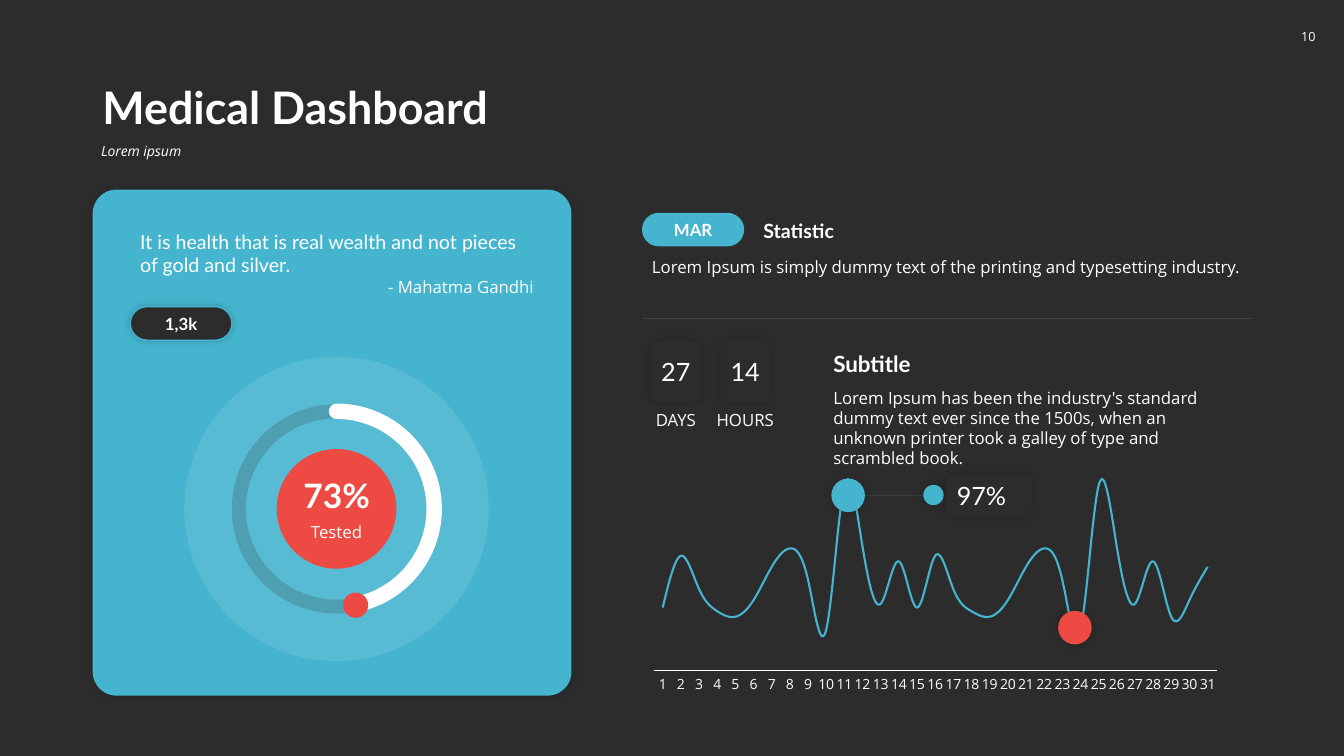
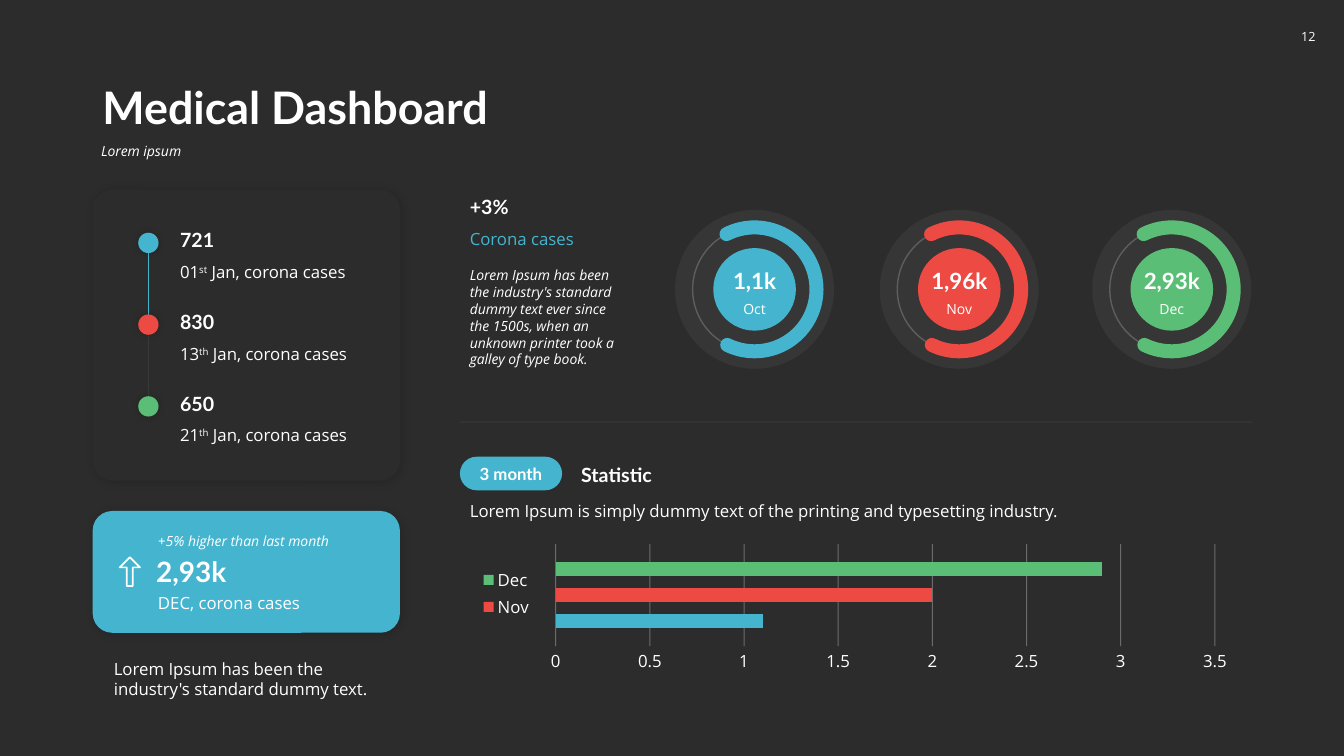
from dataclasses import dataclass, replace
from typing import NamedTuple

from lxml import etree
from pptx import Presentation, util as u
from pptx.chart import data as cd
from pptx.dml.color import RGBColor
from pptx.enum import chart as ec, shapes as es, text as et
from pptx.oxml import ns

DARK = RGBColor(0x2C, 0x2C, 0x2C)
WHITE = RGBColor(0xFF, 0xFF, 0xFF)
BLUE = RGBColor(0x45, 0xB5, 0xCF)
RED = RGBColor(0xED, 0x4A, 0x43)
GREEN = RGBColor(0x5B, 0xBE, 0x77)

HEAD, BODY = "Lato", "Open Sans"
LEFT, MID, RIGHT = et.PP_ALIGN.LEFT, et.PP_ALIGN.CENTER, et.PP_ALIGN.RIGHT
TOP, CORE, LOW = et.MSO_ANCHOR.TOP, et.MSO_ANCHOR.MIDDLE, et.MSO_ANCHOR.BOTTOM
KIND = es.MSO_SHAPE
EDGE = 894  # right edge of the content
MONTHS = (("Oct", "1,1k", 1.1, BLUE), ("Nov", "1,96k", 2.0, RED),
          ("Dec", "2,93k", 2.9, GREEN))


class Box(NamedTuple):
    x: float
    y: float
    w: float
    h: float


class Glow(NamedTuple):
    alpha: int
    blur: float
    dist: float


SOFT, DEEP = Glow(15, 6, 1), Glow(20, 5, 0)


@dataclass(frozen=True)
class Style:
    size: float
    font: str = BODY
    bold: bool = False
    ital: bool = False
    color: RGBColor = WHITE


PLAIN, SMALL, NOTE = Style(12), Style(10), Style(10, ital=True)
LABEL, LEAD = Style(12, HEAD, True), Style(14, HEAD, True)
COUNT = Style(18, HEAD)


def spot(box: Box) -> list:
    return [u.Pt(v) for v in box]


def around(cx: float, cy: float, size: float) -> Box:
    return Box(cx - size / 2, cy - size / 2, size, size)


def child(node, tag: str, **attrs):
    return etree.SubElement(node, ns.qn(tag), {k: str(v) for k, v in attrs.items()})


def fade(fill, alpha: int) -> None:
    """Give a solid fill an opacity in percent."""
    child(fill._xPr.find(".//" + ns.qn("a:srgbClr")), "a:alpha", val=alpha * 1000)


def stroke(line, color: RGBColor, width: float, alpha: int = 100) -> None:
    line.color.rgb = color
    line.width = u.Pt(width)
    if alpha < 100:
        fade(line.fill, alpha)


def dress(para, style: Style, align=LEFT) -> None:
    para.alignment = align
    for run in para.runs:
        font = run.font
        font.name, font.size = style.font, u.Pt(style.size)
        font.bold, font.italic = style.bold, style.ital
        font.color.rgb = style.color


def write(frame, words: str, style: Style, align=LEFT, anchor=TOP) -> None:
    frame.text = words
    frame.word_wrap = True
    frame.vertical_anchor = anchor
    for para in frame.paragraphs:
        dress(para, style, align)


def label(slide, box: Box, words: str, style: Style, align=LEFT, anchor=TOP):
    frame = slide.shapes.add_textbox(*spot(box)).text_frame
    write(frame, words, style, align, anchor)
    return frame


def shape(slide, kind, box: Box, fill=None, glow=None, adj=()):
    item = slide.shapes.add_shape(kind, *spot(box))
    for i, val in enumerate(adj):
        item.adjustments[i] = val
    if fill is None:
        item.fill.background()
    else:
        item.fill.solid()
        item.fill.fore_color.rgb = fill
    item.line.fill.background()
    item.shadow.inherit = False
    if glow:
        cast = child(item._element.spPr.find(ns.qn("a:effectLst")), "a:outerShdw",
                     blurRad=u.Pt(glow.blur), dist=u.Pt(glow.dist), dir=45 * 60000,
                     algn="ctr", rotWithShape=0)
        child(child(cast, "a:srgbClr", val="000000"), "a:alpha", val=glow.alpha * 1000)
    return item


def disc(slide, cx: float, cy: float, size: float, fill=None, glow=None):
    return shape(slide, KIND.OVAL, around(cx, cy, size), fill, glow)


def arc(slide, box: Box, start: float, end: float, color: RGBColor, width: float) -> None:
    """Draw a round-ended arc clockwise between two angles in degrees."""
    item = shape(slide, KIND.ARC, box, adj=(start * 0.6, end * 0.6))
    stroke(item.line, color, width)
    item.line._ln.set("cap", "rnd")


def badge(slide, box: Box, words: str, style: Style, fill=DARK, glow=DEEP,
          adj=(), align=MID, pad: float = 0):
    item = shape(slide, KIND.ROUNDED_RECTANGLE, box, fill, glow, adj)
    frame = item.text_frame
    frame.margin_left = frame.margin_right = u.Pt(pad)
    frame.margin_top = frame.margin_bottom = 0
    write(frame, words, style, align, CORE)
    return item


def rule(slide, x1: float, y1: float, x2: float, y2: float,
         color: RGBColor = WHITE, alpha: int = 10) -> None:
    line = slide.shapes.add_connector(es.MSO_CONNECTOR.STRAIGHT,
                                      *(u.Pt(v) for v in (x1, y1, x2, y2)))
    stroke(line.line, color, 0.5, alpha)
    child(line._element.spPr, "a:effectLst")


def start(deck, page: str):
    """Add a slide with its title, subtitle and page number."""
    slide = deck.slides.add_slide(deck.slide_layouts[1])
    title, sub = slide.placeholders
    title.left, title.top, title.width, title.height = spot(Box(66, 42, 828, 57.5))
    sub.left, sub.top, sub.width, sub.height = spot(Box(65, 99.5, 829, 26))
    write(title.text_frame, "Medical Dashboard", Style(32, HEAD, True), anchor=LOW)
    write(sub.text_frame, "Lorem ipsum", NOTE)
    for item in (title, sub):
        item.text_frame.auto_size = et.MSO_AUTO_SIZE.NONE
        para = item.text_frame.paragraphs[0]
        para.line_spacing, para.space_before = 0.9, u.Pt(0)
    props = para._p.get_or_add_pPr()
    props.set("marL", "0")
    props.set("indent", "0")
    child(props, "a:buNone")
    badge(slide, Box(921.5, 13.4, 26, 25), page, Style(9), glow=None, adj=(0.27,))
    return slide


def section(slide, x: float, y: float, tag: str) -> None:
    """Draw a tag, its heading and one line of text."""
    badge(slide, Box(x, y, 73, 24), tag, LABEL, BLUE, None, (0.5,))
    label(slide, Box(x + 79.5, y, 356, 24.5), "Statistic", LEAD, anchor=LOW)
    label(slide, Box(x, y + 28.2, 436, 21.5), "Lorem Ipsum is simply dummy text of the "
          "printing and typesetting industry.", PLAIN)


def place(node, index: int, **parts) -> None:
    """Set a manual layout, as fractions of the chart, on a chart part."""
    for old in node.findall(ns.qn("c:layout")):
        node.remove(old)
    outer = child(node, "c:layout")
    inner = child(outer, "c:manualLayout")
    if "w" in parts:
        child(inner, "c:layoutTarget", val="inner")
    for key in ("x", "y"):
        child(inner, f"c:{key}Mode", val="edge")
    for key, val in parts.items():
        child(inner, f"c:{key}", val=val)
    node.insert(index, outer)


def graph(slide, kind, box: Box, cats, rows, size: float, **plot):
    """Add a chart from (name, values) rows, with its plot area set."""
    data = cd.CategoryChartData()
    data.categories = cats
    for name, vals in rows:
        data.add_series(name, vals)
    chart = slide.shapes.add_chart(kind, *spot(box), data).chart
    chart.has_title = chart.has_legend = False
    chart.font.name, chart.font.size = BODY, u.Pt(size)
    chart.font.color.rgb = WHITE
    chart.plots[0].vary_by_categories = False
    for axis in (chart.category_axis, chart.value_axis):
        axis.has_major_gridlines = False
        axis.major_tick_mark = axis.minor_tick_mark = ec.XL_TICK_MARK.NONE
    chart.value_axis.minimum_scale = 0
    place(chart._chartSpace.chart.plotArea, 0, **plot)
    return chart


def pulse(slide) -> None:
    vals = (34, 62, 44, 32, 29, 38, 56, 66, 49, 22, 100, 67, 36, 59,
            34, 62, 44, 32, 29, 38, 56, 66, 49, 22, 100, 67, 36, 59, 29, 38, 56)
    chart = graph(slide, ec.XL_CHART_TYPE.LINE_STACKED, Box(458.5, 320.5, 419, 178),
                  [str(d) for d in range(1, 32)], [("Series 1", vals)], 10,
                  x=0.02, y=0, w=0.96, h=0.89)
    chart.value_axis.maximum_scale = 120
    chart.value_axis.visible = False
    stroke(chart.category_axis.format.line, WHITE, 0.75)
    row = chart.plots[0].series[0]
    row.smooth = True
    stroke(row.format.line, BLUE, 1.5)


def bars(slide) -> None:
    chart = graph(slide, ec.XL_CHART_TYPE.BAR_CLUSTERED, Box(336, 385.5, 554, 97.5),
                  ["1"], [(name, [val]) for name, _, val, _ in MONTHS], 12,
                  x=0.11, y=0.03, w=0.85, h=0.75)
    chart.category_axis.visible = False
    axis = chart.value_axis
    axis.maximum_scale, axis.major_unit = 3.5, 0.5
    axis.has_major_gridlines = True
    stroke(axis.major_gridlines.format.line, WHITE, 0.75, 30)
    axis.format.line.fill.background()
    plot = chart.plots[0]
    plot.gap_width, plot.overlap = 250, -80
    for row, (*_, color) in zip(plot.series, MONTHS):
        row.format.fill.solid()
        row.format.fill.fore_color.rgb = color
    chart.has_legend = True
    key = chart.legend
    key.position = ec.XL_LEGEND_POSITION.LEFT
    key.include_in_layout = False
    key.font.size, key.font.name = u.Pt(12), BODY
    key.font.color.rgb = WHITE
    place(key._element, 1, x=0.01, y=0.18)
    entry = child(key._element, "c:legendEntry")
    child(entry, "c:idx", val=2)
    child(entry, "c:delete", val=1)
    key._element.insert(1, entry)


def gauge(slide, cx: float, name: str, value: str, color: RGBColor) -> None:
    cy, size = 206.7, 88.5
    fade(disc(slide, cx, cy, 113.5, WHITE).fill, 5)
    stroke(disc(slide, cx, cy, size).line, WHITE, 1, 20)
    arc(slide, around(cx, cy, size), 243.08, 116.19, color, 10)
    disc(slide, cx, cy, 59, color)
    label(slide, Box(cx - 29.5, 187.2, 59, 26.5), value, Style(16, HEAD, True), MID, LOW)
    label(slide, Box(cx - 29.5, 211, 59, 19.5), name, SMALL, MID)


def event(slide, y: float, count: str, day: str, end: str, color: RGBColor) -> None:
    disc(slide, 106, y + 14.5, 14.5, color, DEEP)
    label(slide, Box(121.5, y, 148.5, 24.5), count, LEAD, anchor=LOW)
    para = label(slide, Box(121.5, y + 24.4, 148.5, 21.5), day, PLAIN).paragraphs[0]
    for words in (end, " Jan, corona cases"):
        para.add_run().text = words
    dress(para, PLAIN)
    para.runs[1]._r.get_or_add_rPr().set("baseline", "30000")


def first(deck) -> None:
    slide = start(deck, "10")
    shape(slide, KIND.ROUNDED_RECTANGLE, Box(66.2, 135.4, 342, 361.5), BLUE, SOFT, (0.05,))
    quote = label(slide, Box(93, 160.5, 295.5, 55.5), "It is health that is real wealth and "
                  "not pieces of gold and silver.\n- Mahatma Gandhi", Style(14, HEAD))
    dress(quote.paragraphs[1], PLAIN, RIGHT)
    pill = badge(slide, Box(93, 219, 72.7, 24), "1,3k", LABEL, adj=(0.5,))
    stroke(pill.line, BLUE, 1)

    cx, cy, size = 240.4, 363.5, 139.5
    fade(disc(slide, cx, cy, 217.4, WHITE).fill, 10)
    disc(slide, cx, cy, 85.5, RED)
    stroke(disc(slide, cx, cy, size).line, DARK, 10, 20)
    arc(slide, around(cx, cy, size), 270, 74.93, WHITE, 11)
    disc(slide, 254, 432.3, 18, RED)
    label(slide, Box(197.4, 335.5, 86, 36), "73%", Style(24, HEAD, True), MID, LOW)
    label(slide, Box(197.4, 369.2, 86, 21.5), "Tested", PLAIN, MID)

    section(slide, 458.6, 152, "MAR")
    rule(slide, 458.6, 227.5, EDGE, 227.5)
    pulse(slide)
    for mid, num, unit in ((482.75, "27", "DAYS"), (532.3, "14", "HOURS")):
        badge(slide, Box(mid - 17.75, 243.4, 35.5, 44), num, COUNT)
        frame = label(slide, Box(mid - 24, 289.2, 48, 21.5), unit, PLAIN, MID)
        frame.margin_left = frame.margin_right = 0
    label(slide, Box(588.2, 246.4, 307, 26.5), "Subtitle", Style(16, HEAD, True), anchor=LOW)
    label(slide, Box(588.2, 273.2, 307, 51), "Lorem Ipsum has been the industry's standard "
          "dummy text ever since the 1500s, when an unknown printer took a galley of "
          "type and scrambled book.", PLAIN)
    disc(slide, 605.8, 353.8, 24, BLUE, DEEP)
    disc(slide, 767.8, 448.3, 24, RED, DEEP)
    rule(slide, 618, 353.8, 661.5, 353.8)
    disc(slide, 666.8, 353.6, 14.5, BLUE, DEEP)
    badge(slide, Box(676, 339, 61, 29.5), "97%", COUNT, align=LEFT, pad=6)


def second(deck) -> None:
    slide = start(deck, "12")
    shape(slide, KIND.ROUNDED_RECTANGLE, Box(66.2, 365, 219.5, 87), BLUE, SOFT, (0.16,))
    shape(slide, KIND.ROUNDED_RECTANGLE, Box(66.2, 135.4, 219.5, 208), DARK, SOFT, (0.07,))
    top, step = 159, 58.4
    for i, (color, alpha) in enumerate(((BLUE, 100), (WHITE, 10))):
        y = top + step * i
        rule(slide, 106, y + 22, 106, y + 66.5, color, alpha)
    for i, row in enumerate((("721", "01", "st", BLUE), ("830", "13", "th", RED),
                             ("650", "21", "th", GREEN))):
        event(slide, top + step * i, *row)

    arrow = shape(slide, KIND.UP_ARROW, Box(85.5, 398, 14.5, 20.5), adj=(0.3, 0.5))
    stroke(arrow.line, WHITE, 1.25)
    label(slide, Box(104.4, 392.5, 164, 31.5), "2,93k", Style(20, HEAD, True), anchor=CORE)
    label(slide, Box(105.8, 420.2, 164, 21.5), "DEC, corona cases", PLAIN)
    label(slide, Box(105.8, 377, 164, 19.5), "+5% higher than last month", NOTE)
    label(slide, Box(74.2, 467.2, 211.5, 36),
          "Lorem Ipsum has been the industry's standard dummy text.", PLAIN)

    x = 328.5
    label(slide, Box(x, 135.2, 119, 24.5), "+3%", LEAD, anchor=LOW)
    label(slide, Box(x, 160, 119, 21.5), "Corona cases", replace(PLAIN, color=BLUE))
    label(slide, Box(x, 187, 119, 80), "Lorem Ipsum has been the industry's standard "
          "dummy text ever since the 1500s, when an unknown printer took a galley of "
          "type book.", NOTE)
    for cx, (name, value, _, color) in zip((539, 685.2, 837), MONTHS):
        gauge(slide, cx, name, value, color)
    rule(slide, x, 301.4, EDGE, 301.4)
    section(slide, x, 326.2, "3 month")
    bars(slide)


def main() -> None:
    deck = Presentation()
    deck.slide_width, deck.slide_height = u.Pt(960), u.Pt(540)
    back = deck.slide_master.background.fill
    back.solid()
    back.fore_color.rgb = DARK
    first(deck)
    second(deck)
    deck.save("out.pptx")


if __name__ == "__main__":
    main()
